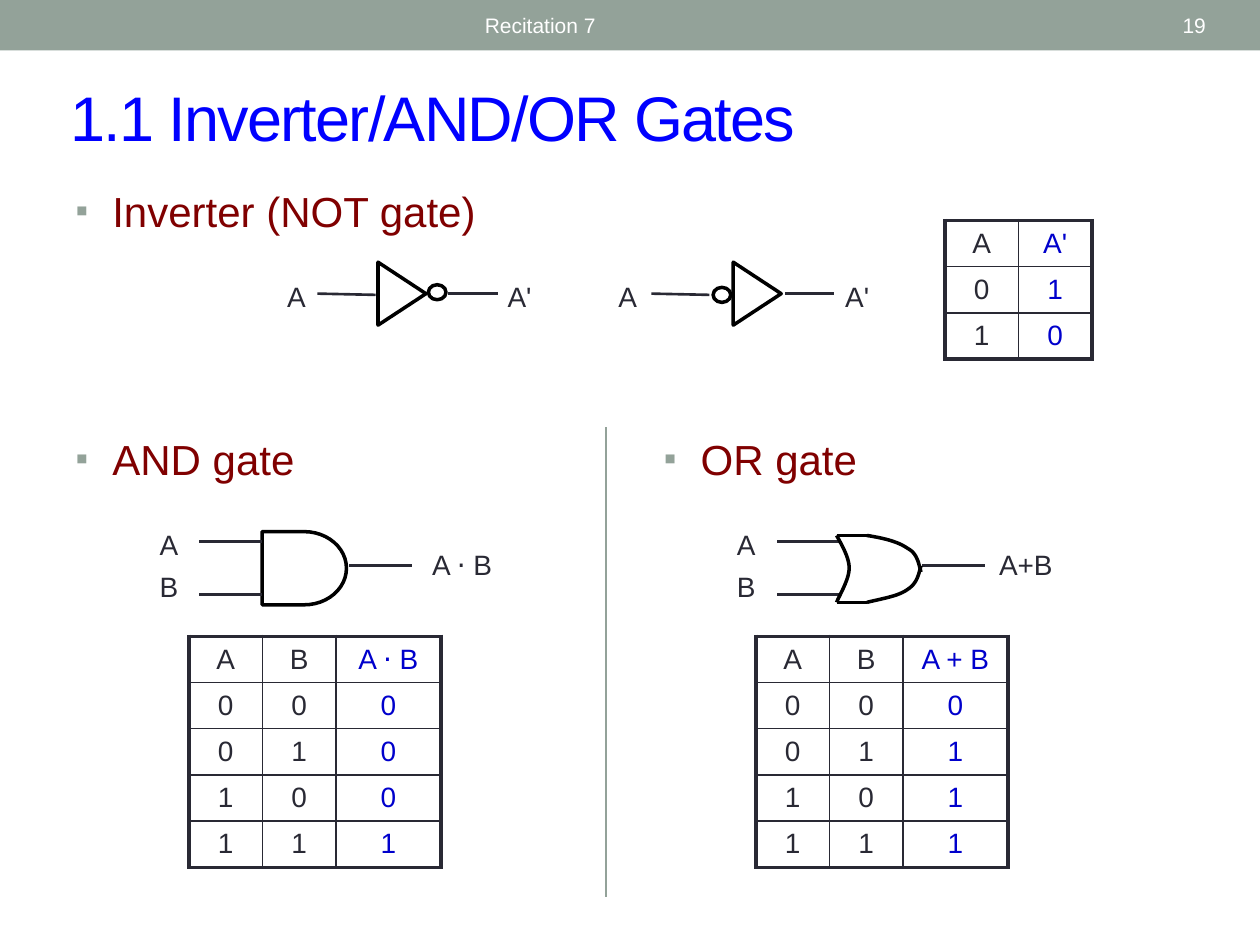
from lxml import etree
from pptx import Presentation
from pptx.dml.color import RGBColor
from pptx.enum.shapes import MSO_CONNECTOR, MSO_SHAPE
from pptx.enum.text import MSO_ANCHOR, MSO_AUTO_SIZE, PP_ALIGN
from pptx.oxml.ns import qn
from pptx.util import Pt

SAGE = RGBColor(0x93, 0xA2, 0x99)
WHITE = RGBColor(0xFF, 0xFF, 0xFF)
BLACK = RGBColor(0, 0, 0)
INK = RGBColor(0x29, 0x29, 0x34)
MAROON = RGBColor(0x80, 0, 0)
TITLE_BLUE = RGBColor(0, 0, 0xFF)
OUTPUT_BLUE = RGBColor(0, 0, 0xCC)
LEFT, CENTER, RIGHT = PP_ALIGN.LEFT, PP_ALIGN.CENTER, PP_ALIGN.RIGHT
TOP, MIDDLE = MSO_ANCHOR.TOP, MSO_ANCHOR.MIDDLE
STRAIGHT = MSO_CONNECTOR.STRAIGHT
RECTANGLE, OVAL = MSO_SHAPE.RECTANGLE, MSO_SHAPE.OVAL
TRIANGLE, AND_BODY = MSO_SHAPE.FLOWCHART_MERGE, MSO_SHAPE.FLOWCHART_DELAY

presentation = Presentation()
presentation.slide_width, presentation.slide_height = Pt(720), Pt(540)
slide = presentation.slides.add_slide(presentation.slide_layouts[4])


def write_text(shape, box, lines, size, color, align=LEFT, anchor=TOP, space=0):
    shape.left, shape.top, shape.width, shape.height = [Pt(value) for value in box]
    frame = shape.text_frame
    frame.word_wrap = True
    frame.auto_size = MSO_AUTO_SIZE.NONE
    frame.vertical_anchor = anchor
    for index, line in enumerate(lines):
        paragraph = frame.add_paragraph() if index else frame.paragraphs[0]
        paragraph.alignment = align
        paragraph.space_before = Pt(space)
        run = paragraph.add_run()
        run.text = line
        run.font.name, run.font.size, run.font.bold = "Arial", Pt(size), False
        run.font.color.rgb = color
    return frame.paragraphs[0]


def add_line(x1, y1, x2, y2, color=INK, width=1.5):
    line = slide.shapes.add_connector(STRAIGHT, Pt(x1), Pt(y1), Pt(x2), Pt(y2))
    line.line.color.rgb = color
    line.line.width = Pt(width)
    etree.SubElement(line._element.spPr, qn("a:effectLst"))


banner = slide.shapes.add_shape(RECTANGLE, 0, 0, Pt(720), Pt(28.8))
banner.shadow.inherit = False
banner.fill.solid()
banner.fill.fore_color.rgb = SAGE
banner.line.fill.background()

title = write_text(slide.shapes.title, (33.1, 41, 653, 50.4),
                   ["1.1 Inverter/AND/OR Gates"], 36, TITLE_BLUE, anchor=MIDDLE)
title.runs[0].font._element.set("spc", "-100")
for box, text, align in [((270, 1.4, 324, 25.9), "Recitation 7", LEFT),
                         ((627.8, 1.4, 68.4, 25.9), "19", RIGHT)]:
    write_text(slide.shapes.add_textbox(0, 0, 0, 0), box, [text], 12, WHITE, align, MIDDLE)

headings = [(1, (36, 102.2, 318, 36), "Inverter (NOT gate)"),
            (2, (36, 244.1, 222, 36), "AND gate"),
            (3, (372.2, 244.1, 222, 36), "OR gate")]
for number, box, text in headings:
    heading = write_text(slide.placeholders[number], box, [text], 24, MAROON, space=4.8)
    properties = heading._p.get_or_add_pPr()
    properties.set("marL", str(Pt(21)))
    properties.set("indent", str(-Pt(21)))
    bullet_color = etree.SubElement(properties, qn("a:buClr"))
    etree.SubElement(bullet_color, qn("a:srgbClr")).set("val", str(SAGE))
    etree.SubElement(properties, qn("a:buSzPct")).set("val", "85000")
    etree.SubElement(properties, qn("a:buFont")).set("typeface", "Arial")
    etree.SubElement(properties, qn("a:buChar")).set("char", "▪")
unused = slide.placeholders[4]._element
unused.getparent().remove(unused)

gate_shapes = [(TRIANGLE, 211.7, 154.1, 36, 27.4, 270), (OVAL, 244.8, 162.7, 10.1, 8.6, 0),
               (TRIANGLE, 414.7, 154.1, 36, 27.4, 270), (OVAL, 407.5, 164.2, 10.1, 8.6, 0),
               (AND_BODY, 149.8, 303.8, 48.2, 41.8, 0)]
for kind, x, y, width, height, rotation in gate_shapes:
    gate = slide.shapes.add_shape(kind, Pt(x), Pt(y), Pt(width), Pt(height))
    gate.shadow.inherit = False
    gate.rotation = rotation
    gate.fill.background()
    gate.line.color.rgb = BLACK
    gate.line.width = Pt(2)

for input_x, output_x in [(181.4, 256.3), (372.2, 448.6)]:
    add_line(input_x, 167.8, input_x + 33.2, 168.5)
    add_line(output_x, 167.8, output_x + 28.1, 167.8)
for input_x, output_x in [(113.8, 199.4), (444.2, 527)]:
    for y in (309.6, 339.8):
        add_line(input_x, y, input_x + 36, y)
    add_line(output_x, 323.3, output_x + 36, 323.3)

labels = [((157, 156.2, 23.8, 26.6), ["A"], RIGHT), ((283, 156.2, 30.2, 26.6), ["A'"], LEFT),
          ((346.3, 156.2, 23.8, 26.6), ["A"], RIGHT), ((475.9, 156.2, 30.2, 26.6), ["A'"], LEFT),
          ((84.2, 298.1, 23.8, 51.8), ["A", "B"], RIGHT), ((239.8, 309.6, 60, 26.6), ["A ⋅ B"], LEFT),
          ((414, 298.1, 23.8, 51.8), ["A", "B"], RIGHT), ((563.8, 309.6, 48, 26.6), ["A+B"], LEFT)]
for box, lines, align in labels:
    write_text(slide.shapes.add_textbox(0, 0, 0, 0), box, lines, 16, INK, align, space=4.8)

for y in (306, 344.2):
    add_line(478.1, y, 495.4, y, BLACK, 2)
or_curves = [
    [[(478.1, 306), (481.7, 312.5), (485.3, 319), (485.3, 324.7)],
     [(485.3, 324.7), (485.3, 331.2), (479.5, 340.6), (478.1, 344.2)]],
    [[(495.4, 306), (504.7, 307.4), (513.4, 309.6), (518.4, 313.2)],
     [(518.4, 313.2), (524.2, 316.1), (524.9, 321.8), (526.3, 326.9)]],
    [[(495.4, 344.2), (504.7, 342), (513.4, 340.6), (518.4, 337)],
     [(518.4, 337), (524.2, 333.4), (524.9, 328.3), (526.3, 323.3)]]]
STEPS = 12
for curve in or_curves:
    points = []
    for controls in curve:
        for step in range(1, STEPS + 1):
            t = step / STEPS
            weights = [(1 - t) ** 3, 3 * t * (1 - t) ** 2, 3 * t ** 2 * (1 - t), t ** 3]
            points.append([Pt(sum(w * c[axis] for w, c in zip(weights, controls)))
                           for axis in (0, 1)])
    start_x, start_y = curve[0][0]
    builder = slide.shapes.build_freeform(Pt(start_x), Pt(start_y))
    builder.add_line_segments(points, close=False)
    outline = builder.convert_to_shape()
    outline.shadow.inherit = False
    outline.fill.background()
    outline.line.color.rgb = BLACK
    outline.line.width = Pt(2)

truth_tables = [(540, 126, [42, 42], ["A A'".split(), "01", "10"]),
                (108, 363.6, [42, 42, 60], [["A", "B", "A ⋅ B"], "000", "010", "100", "111"]),
                (432, 363.6, [42, 42, 60], [["A", "B", "A + B"], "000", "011", "101", "111"])]
ROW_HEIGHT = 26.4
for x, y, widths, rows in truth_tables:
    frame = slide.shapes.add_table(len(rows), len(widths), Pt(x), Pt(y),
                                   Pt(sum(widths)), Pt(ROW_HEIGHT * len(rows)))
    table = frame.table
    table.first_row = table.horz_banding = False
    for column, width in zip(table.columns, widths):
        column.width = Pt(width)
    last_row, last_column = len(rows) - 1, len(widths) - 1
    for r, values in enumerate(rows):
        table.rows[r].height = Pt(ROW_HEIGHT)
        for c, value in enumerate(values):
            cell = table.cell(r, c)
            cell.vertical_anchor = MIDDLE
            paragraph = cell.text_frame.paragraphs[0]
            paragraph.alignment = CENTER
            run = paragraph.add_run()
            run.text = value
            run.font.name, run.font.size = "Arial", Pt(16)
            run.font.color.rgb = OUTPUT_BLUE if c == last_column else INK
            properties = cell._tc.get_or_add_tcPr()
            edges = {"lnL": c == 0, "lnR": c == last_column, "lnT": r == 0, "lnB": r == last_row}
            for edge, outer in edges.items():
                border = etree.SubElement(properties, qn("a:" + edge))
                border.set("w", str(Pt(2.25 if outer else 1)))
                fill = etree.SubElement(border, qn("a:solidFill"))
                etree.SubElement(fill, qn("a:srgbClr")).set("val", str(INK))
            cell.fill.background()

add_line(346.3, 244.1, 346.3, 512.6, SAGE, 0.75)
presentation.save("out.pptx")
